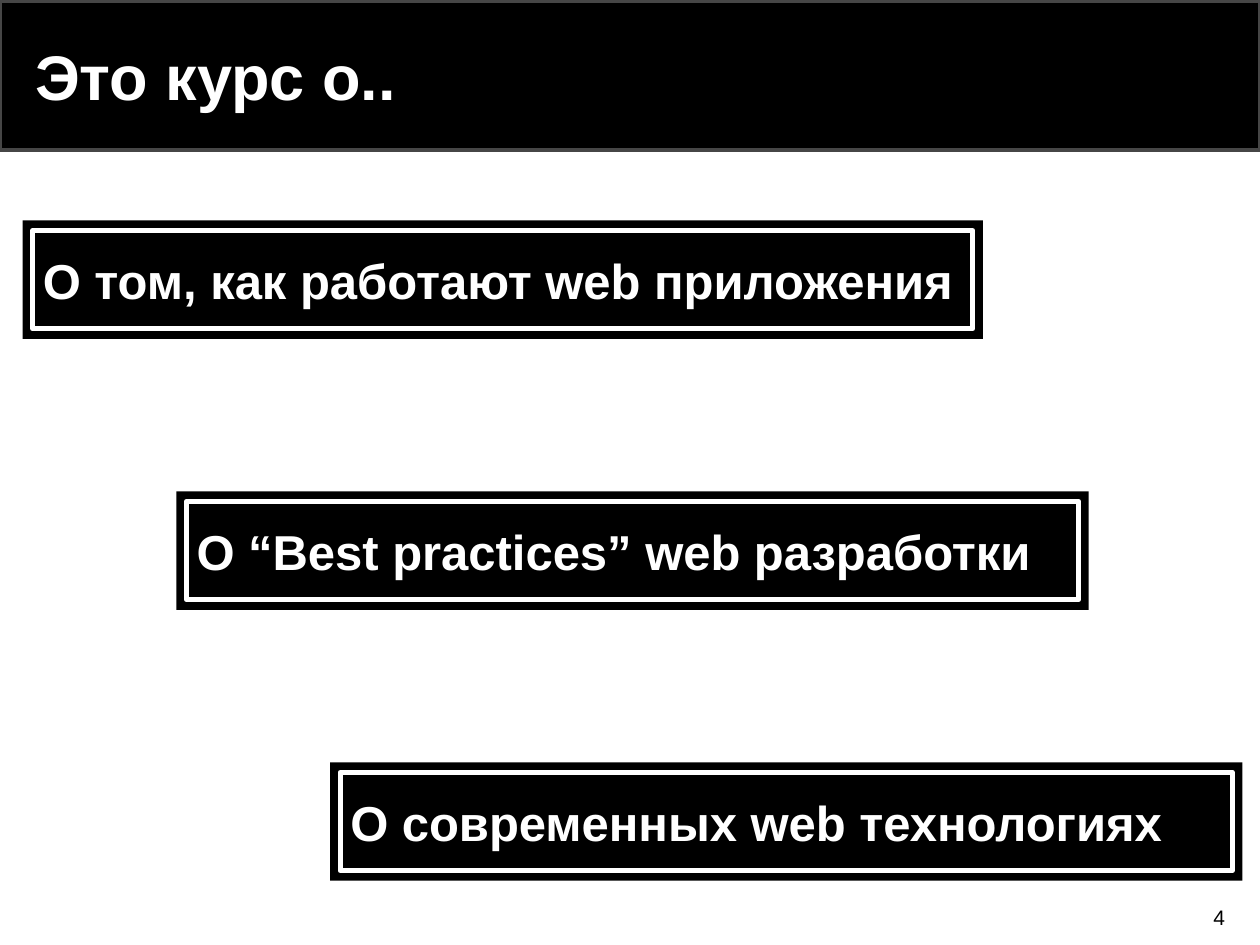
from pptx import Presentation
from pptx.dml.color import RGBColor
from pptx.enum.shapes import MSO_SHAPE
from pptx.enum.text import MSO_ANCHOR, PP_ALIGN
from pptx.util import Inches, Pt

RECTANGLE = MSO_SHAPE.RECTANGLE
MIDDLE = MSO_ANCHOR.MIDDLE
LEFT, RIGHT = PP_ALIGN.LEFT, PP_ALIGN.RIGHT

BLACK, WHITE, GRAY = "000000", "FFFFFF", "464646"

TOPICS = [
    ("О том, как работают web приложения", 7.62),
    ("О “Best practices” web разработки", 7.24),
    ("О современных web технологиях", 7.24),
]
FIRST_LEFT, FIRST_TOP = 0.18, 1.75
STEP_RIGHT, STEP_DOWN = 1.22, 2.15
PLATE_HEIGHT = 0.94
FRAME_INSET = 0.08


def color(hex_string):
    return RGBColor.from_string(hex_string)


def write(shape, text, size, text_color, bold=False, align=LEFT, margins=(0.1, 0.05)):
    """Fill a shape with one line of text; margins are horizontal and vertical."""
    frame = shape.text_frame
    frame.word_wrap = True
    frame.vertical_anchor = MIDDLE
    frame.margin_left = frame.margin_right = Inches(margins[0])
    frame.margin_top = frame.margin_bottom = Inches(margins[1])
    frame.text = text
    para = frame.paragraphs[0]
    para.alignment = align
    font = para.runs[0].font
    font.name = "Arial"
    font.size = Pt(size)
    font.bold = bold
    font.color.rgb = color(text_color)


def add_rectangle(page, left, top, width, height, line=None, line_width=0):
    box = page.shapes.add_shape(
        RECTANGLE, Inches(left), Inches(top), Inches(width), Inches(height))
    box.shadow.inherit = False
    box.fill.solid()
    box.fill.fore_color.rgb = color(BLACK)
    if line:
        box.line.color.rgb = color(line)
        box.line.width = Pt(line_width)
    else:
        box.line.fill.background()
    return box


def add_text(page, left, top, width, height, text, size, text_color, **style):
    box = page.shapes.add_textbox(
        Inches(left), Inches(top), Inches(width), Inches(height))
    write(box, text, size, text_color, **style)


def add_topic(page, left, top, width, text):
    """Draw a black plate with a white inner frame that holds the text."""
    add_rectangle(page, left, top, width, PLATE_HEIGHT)
    frame = add_rectangle(
        page, left + FRAME_INSET, top + FRAME_INSET,
        width - 2 * FRAME_INSET, PLATE_HEIGHT - 2 * FRAME_INSET, WHITE, 3)
    write(frame, text, 28, WHITE, bold=True, margins=(0.08, 0.04))


def main():
    deck = Presentation()
    deck.slide_width, deck.slide_height = Inches(10), Inches(7.5)
    page = deck.slides.add_slide(deck.slide_layouts[6])

    add_rectangle(page, 0, 0.01, 10, 1.18, GRAY, 2)
    add_text(page, 0.18, 0.1, 8.15, 1, "Это курс о..", 36, WHITE, bold=True)
    add_text(page, 7.54, 7.13, 2.28, 0.3, "4", 12, BLACK, align=RIGHT)
    for index, (text, width) in enumerate(TOPICS):
        add_topic(page, FIRST_LEFT + index * STEP_RIGHT,
                  FIRST_TOP + index * STEP_DOWN, width, text)

    deck.save("out.pptx")


if __name__ == "__main__":
    main()
